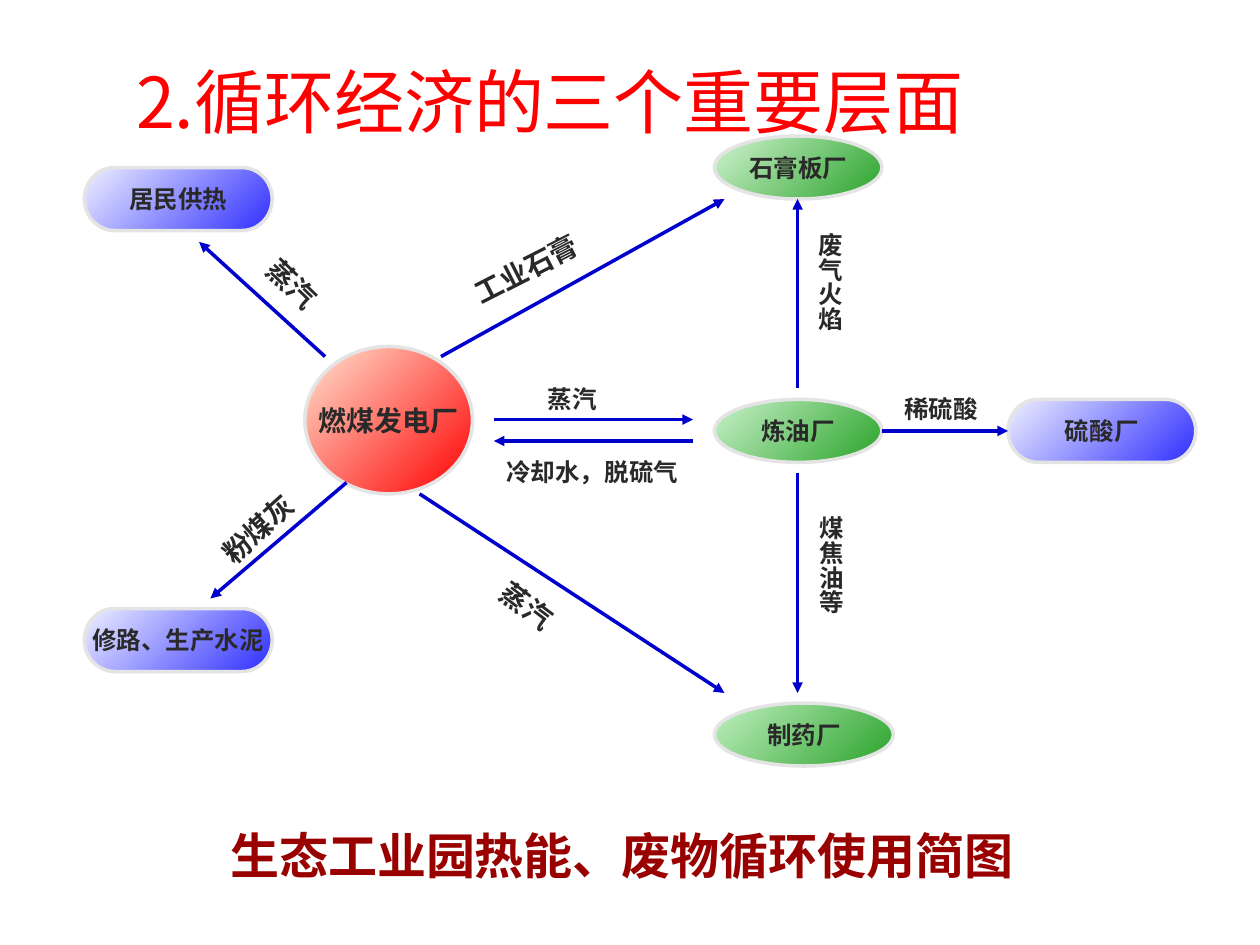
from pptx import Presentation
from pptx.dml.color import RGBColor
from pptx.enum.shapes import MSO_CONNECTOR, MSO_SHAPE as SHAPE
from pptx.enum.text import MSO_ANCHOR as ANCHOR, MSO_AUTO_SIZE as AUTO, PP_ALIGN as ALIGN
from pptx.oxml.ns import qn
from pptx.util import Inches, Pt
from lxml.etree import SubElement

RED = RGBColor(0xFF, 0x00, 0x00)
DARK_RED = RGBColor(0x99, 0x00, 0x00)
INK = RGBColor(0x29, 0x29, 0x29)
ARROW = RGBColor(0x00, 0x00, 0xCC)
BORDER = RGBColor(0xE4, 0xE4, 0xE4)
PEACH = RGBColor(0xFF, 0xE4, 0xD1)
GREEN = RGBColor(0x29, 0xA3, 0x29)
OIL_GREEN = RGBColor(0xCA, 0xF2, 0xCA)
BOARD_GREEN = RGBColor(0xD1, 0xF3, 0xD1)
DRUG_GREEN = RGBColor(0xC1, 0xEF, 0xC1)
PALE_BLUE = RGBColor(0xEF, 0xF0, 0xFF)
BLUE = RGBColor(0x2F, 0x2F, 0xFF)


class Diagram:
    """Draws the elements of a flow diagram on one slide in a shared style."""

    font = "Times New Roman"
    line_width = Pt(2)

    def __init__(self, prs):
        self.s = prs.slides.add_slide(prs.slide_layouts[5])

    def style(self, p, size, color=INK, font=None, bold=True):
        f = p.runs[0].font
        f.name, f.size, f.bold = font or self.font, Pt(size), bold
        f.color.rgb = color

    def title(self, text, box):
        sp = self.s.shapes.title
        sp.left, sp.top, sp.width, sp.height = map(Inches, box)
        tf = sp.text_frame
        tf.text = text
        tf.auto_size, tf.vertical_anchor = AUTO.NONE, ANCHOR.BOTTOM
        tf.paragraphs[0].alignment = ALIGN.LEFT
        self.style(tf.paragraphs[0], 40, RED, "Noto Sans CJK SC", False)

    def node(self, kind, text, box, light, dark, size=14):
        sp = self.s.shapes.add_shape(kind, *map(Inches, box))
        sp.shadow.inherit = False
        sp.fill.gradient()
        sp.fill.gradient_angle = 315
        for stop, color in zip(sp.fill.gradient_stops, (light, dark)):
            stop.color.rgb = color
        sp.line.color.rgb, sp.line.width = BORDER, self.line_width
        tf = sp.text_frame
        tf.text = text
        tf.word_wrap, tf.vertical_anchor = False, ANCHOR.MIDDLE
        tf.paragraphs[0].alignment = ALIGN.CENTER
        self.style(tf.paragraphs[0], size)

    def arrow(self, start, end):
        ends = map(Inches, (*start, *end))
        c = self.s.shapes.add_connector(MSO_CONNECTOR.STRAIGHT, *ends)
        c.line.color.rgb, c.line.width = ARROW, self.line_width
        SubElement(c.line._get_or_add_ln(), qn("a:tailEnd"), type="triangle")
        SubElement(c._element.spPr, qn("a:effectLst"))

    def label(self, text, box, size=14, rotation=0, vertical=False, **style):
        sp = self.s.shapes.add_textbox(*map(Inches, box))
        sp.rotation = rotation
        tf = sp.text_frame
        tf.text = text
        tf.word_wrap, tf.auto_size = True, AUTO.SHAPE_TO_FIT_TEXT
        if vertical:
            tf._txBody.bodyPr.set("vert", "eaVert")
        self.style(tf.paragraphs[0], size, **style)


def main():
    prs = Presentation()
    prs.slide_width, prs.slide_height = Inches(10), Inches(7.5)
    d = Diagram(prs)
    d.title("2.循环经济的三个重要层面", (0.98, 0.05, 7.83, 1.13))
    d.label("生态工业园热能、废物循环使用简图", (1.73, 6.5, 7.67, 0.57), 28,
            color=DARK_RED, font="Arial")

    d.node(SHAPE.FLOWCHART_CONNECTOR, "燃煤发电厂", (2.42, 2.75, 1.33, 1.17), PEACH, RED, 16)
    for text, top, width, light in (
        ("炼油厂", 3.17, 1.33, OIL_GREEN),
        ("石膏板厂", 1.08, 1.33, BOARD_GREEN),
        ("制药厂", 5.58, 1.42, DRUG_GREEN),
    ):
        d.node(SHAPE.OVAL, text, (5.67, top, width, 0.5), light, GREEN)
    for text, left, top in (
        ("硫酸厂", 8, 3.17),
        ("修路、生产水泥", 0.67, 4.83),
        ("居民供热", 0.67, 1.33),
    ):
        d.node(SHAPE.FLOWCHART_TERMINATOR, text, (left, top, 1.49, 0.5), PALE_BLUE, BLUE)

    for start, end in (
        ((3.92, 3.33), (5.5, 3.33)),
        ((5.5, 3.5), (3.92, 3.5)),
        ((3.33, 3.92), (5.75, 5.5)),
        ((3.5, 2.83), (5.75, 1.58)),
        ((2.58, 2.83), (1.58, 1.92)),
        ((2.75, 3.83), (1.67, 4.75)),
        ((6.33, 3.08), (6.33, 1.58)),
        ((6.33, 3.75), (6.33, 5.5)),
        ((7, 3.42), (8, 3.42)),
    ):
        d.arrow(start, end)

    for text, left, top, width in (
        ("蒸汽", 4.25, 3, 1.08),
        ("冷却水，脱硫气", 3.92, 3.58, 1.58),
        ("稀硫酸", 7.08, 3.08, 0.83),
    ):
        d.label(text, (left, top, width, 0.33))
    for text, left, top, width, rotation in (
        ("蒸汽", 3.84, 4.68, 0.83, 37),
        ("蒸汽", 1.99, 2.08, 0.67, 44),
        ("工业石膏", 3.63, 1.93, 1.17, 333),
        ("粉煤灰", 1.59, 3.94, 1.08, 318),
    ):
        d.label(text, (left, top, width, 0.37), 16, rotation)
    d.label("废气火焰", (6.32, 1.75, 0.43, 1.25), vertical=True)
    d.label("煤焦油等", (6.33, 4, 0.43, 1.17), vertical=True)
    prs.save("out.pptx")


if __name__ == "__main__":
    main()
